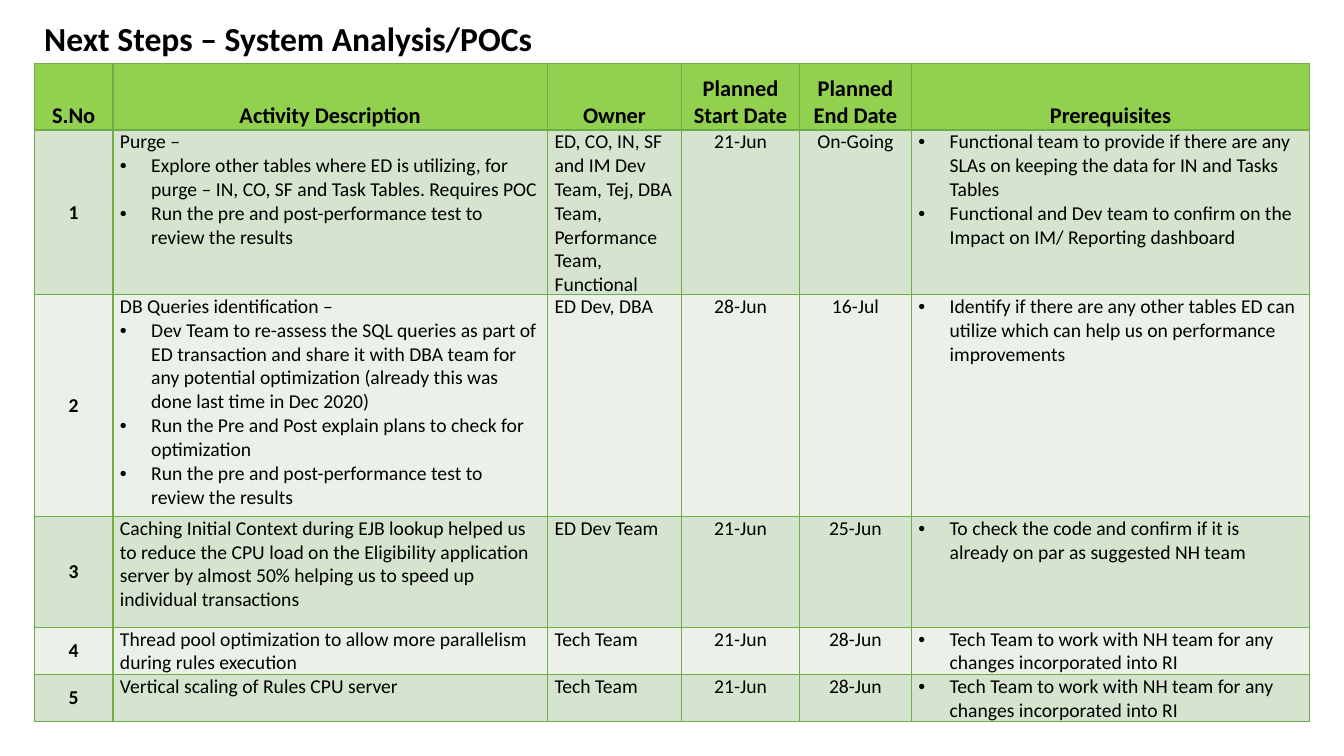
from pptx import Presentation
from pptx.dml.color import RGBColor
from pptx.enum.text import MSO_ANCHOR, PP_ALIGN
from pptx.oxml.ns import qn
from pptx.util import Inches, Pt
from lxml.etree import SubElement

FONT = "Calibri"
BLACK, LINE, HEAD = "000000", "70AD47", "92D050"
BANDS = ["D5E3CF", "EBF1E9"]
COLS = [0.78, 4.31, 1.33, 1.17, 1.11, 3.95]
ROWS = [0.66, 1.54, 2.2, 1.1, 0.44, 0.29]
MID = {0, 3, 4}  # centred columns

HEADS = ["S.No", "Activity Description", "Owner", "Planned Start Date",
         "Planned End Date", "Prerequisites"]
TEST = "* Run the pre and post-performance test to review the results"
TECH = ["* Tech Team to work with NH team for any changes incorporated into RI"]

# Activity, owner, start, end, prerequisites; "* " marks a bullet
STEPS = [
    (["Purge –",
      "* Explore other tables where ED is utilizing, for purge – IN, CO, SF "
      "and Task Tables. Requires POC",
      TEST],
     ["ED, CO, IN, SF and IM Dev Team, Tej, DBA Team, Performance Team, "
      "Functional"],
     ["21-Jun"], ["On-Going"],
     ["* Functional team to provide if there are any SLAs on keeping the data "
      "for IN and Tasks Tables",
      "* Functional and Dev team to confirm on the Impact on IM/ Reporting "
      "dashboard"]),
    (["DB Queries identification –",
      "* Dev Team to re-assess the SQL queries as part of ED transaction and "
      "share it with DBA team for any potential optimization (already this "
      "was done last time in Dec 2020)",
      "* Run the Pre and Post explain plans to check for optimization",
      TEST],
     ["ED Dev, DBA"], ["28-Jun"], ["16-Jul"],
     ["* Identify if there are any other tables ED can utilize which can help "
      "us on performance improvements"]),
    (["Caching Initial Context during EJB lookup helped us to reduce the CPU "
      "load on the Eligibility application server by almost 50% helping us "
      "to speed up individual transactions"],
     ["ED Dev Team"], ["21-Jun"], ["25-Jun"],
     ["* To check the code and confirm if it is already on par as suggested "
      "NH team"]),
    (["Thread pool optimization to allow more parallelism during rules "
      "execution"],
     ["Tech Team"], ["21-Jun"], ["28-Jun"], TECH),
    (["Vertical scaling of Rules CPU server"],
     ["Tech Team"], ["21-Jun"], ["28-Jun"], TECH),
]


def color(code):
    return RGBColor.from_string(code)


def add_run(para, text, size, bold):
    run = para.add_run()
    run.text = text
    font = run.font
    font.name, font.size, font.bold = FONT, Pt(size), bold
    font.color.rgb = color(BLACK)


def add_bullet(para):
    props = para._p.get_or_add_pPr()
    props.set("marL", str(Inches(0.31)))
    props.set("indent", str(-Inches(0.31)))
    SubElement(props, qn("a:buFont")).set("typeface", "Arial")
    SubElement(props, qn("a:buChar")).set("char", "•")


def add_edges(cell):
    props = cell._tc.get_or_add_tcPr()
    for side in ("lnL", "lnR", "lnT", "lnB"):
        edge = SubElement(props, qn(f"a:{side}"), w=str(Pt(1)))
        fill = SubElement(edge, qn("a:solidFill"))
        SubElement(fill, qn("a:srgbClr")).set("val", LINE)


def fill_cell(cell, lines, back, size, bold, align, anchor):
    add_edges(cell)
    cell.fill.solid()
    cell.fill.fore_color.rgb = color(back)
    cell.margin_left = cell.margin_right = Inches(0.07)
    cell.margin_top = cell.margin_bottom = 0
    cell.vertical_anchor = anchor
    frame = cell.text_frame
    for num, line in enumerate(lines):
        para = frame.add_paragraph() if num else frame.paragraphs[0]
        para.alignment = align
        if line.startswith("* "):
            add_bullet(para)
        add_run(para, line.removeprefix("* "), size, bold)


def add_title(slide, left, top, width, height):
    box = slide.shapes.add_textbox(
        Inches(left), Inches(top), Inches(width), Inches(height))
    frame = box.text_frame
    frame.word_wrap = True
    para = frame.paragraphs[0]
    para.line_spacing = 0.9
    add_run(para, "Next Steps – System Analysis/POCs", 24, True)


def add_plan(slide, left, top, width, height):
    table = slide.shapes.add_table(
        len(ROWS), len(COLS), Inches(left), Inches(top),
        Inches(width), Inches(height)).table
    for col, size in zip(table.columns, COLS):
        col.width = Inches(size)
    for row, size in zip(table.rows, ROWS):
        row.height = Inches(size)

    # Header row
    for col, text in enumerate(HEADS):
        fill_cell(table.cell(0, col), [text], HEAD, 16, True,
                  PP_ALIGN.CENTER, MSO_ANCHOR.BOTTOM)

    # One row per step
    for row, step in enumerate(STEPS, 1):
        for col, lines in enumerate(([str(row)], *step)):
            fill_cell(table.cell(row, col), lines, BANDS[(row - 1) % 2], 14,
                      col == 0,
                      PP_ALIGN.CENTER if col in MID else PP_ALIGN.LEFT,
                      MSO_ANCHOR.TOP if col else MSO_ANCHOR.MIDDLE)


def main():
    deck = Presentation()
    deck.slide_width, deck.slide_height = Inches(13.33), Inches(7.5)
    slide = deck.slides.add_slide(deck.slide_layouts[6])
    add_title(slide, 0.34, 0.17, 5.78, 0.46)
    add_plan(slide, 0.34, 0.63, sum(COLS), sum(ROWS))
    deck.save("out.pptx")


if __name__ == "__main__":
    main()
